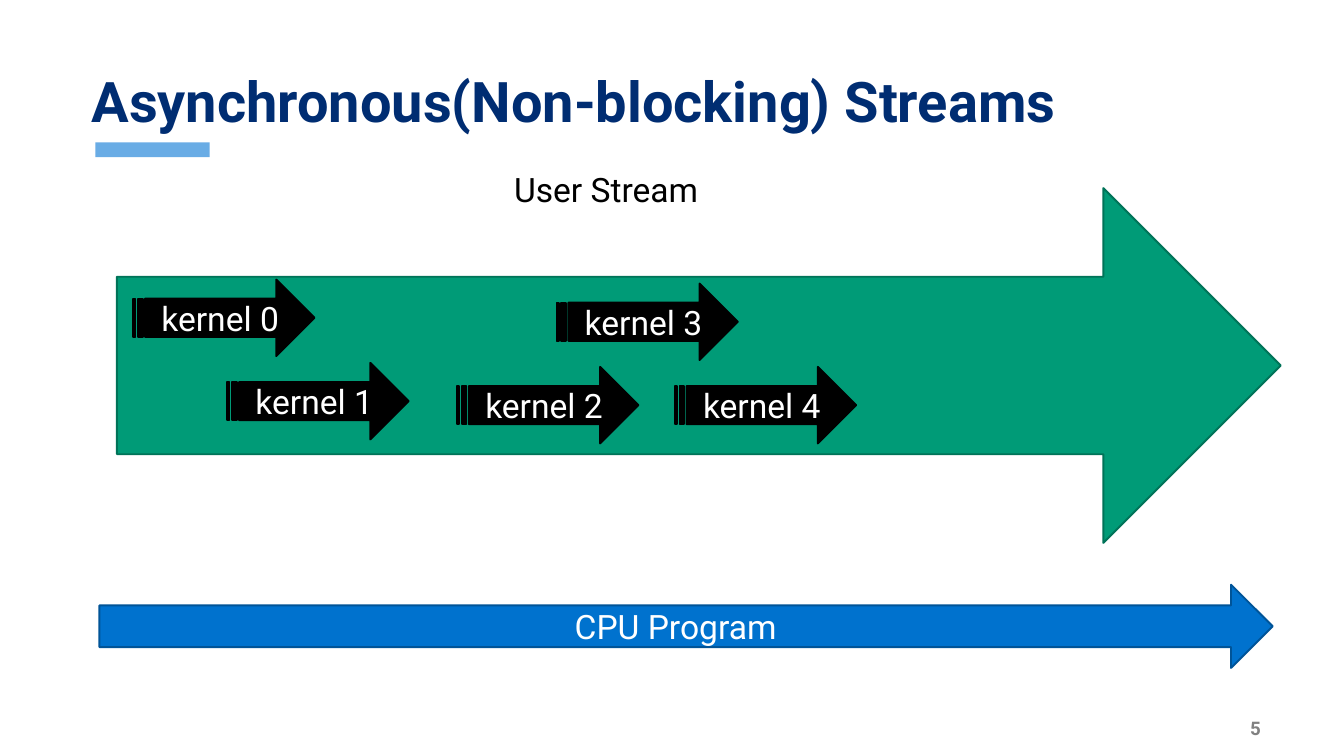
from dataclasses import dataclass
from typing import NamedTuple

from pptx import Presentation
from pptx.dml.color import RGBColor
from pptx.enum import shapes, text
from pptx.util import Inches, Pt


@dataclass(frozen=True)
class Theme:
    font: str = "Roboto"
    navy: str = "002D72"
    accent: str = "69ACE5"
    blue: str = "0072CE"
    blue_edge: str = "005498"
    green: str = "009B77"
    green_edge: str = "007358"
    black: str = "000000"
    white: str = "FFFFFF"
    gray: str = "808080"
    title_size: int = 30
    label_size: int = 18
    number_size: int = 10


class Box(NamedTuple):
    left: float
    top: float
    width: float
    height: float

    def lengths(self):
        return [Inches(side) for side in self]


@dataclass(frozen=True)
class Block:
    kind: shapes.MSO_SHAPE
    box: Box
    fill: str
    edge: str | None = None
    label: str = ""


THEME = Theme()
KERNEL_SIZE = (1.35, 0.57)
KERNEL_STARTS = [(0.99, 2.08), (1.69, 2.7), (3.4, 2.73), (4.14, 2.11), (5.02, 2.73)]


def write(frame, words: str, size: int, color: str, align, anchor, bold: bool = False):
    """Fill a frame with one styled paragraph and return that paragraph."""
    frame.text = words
    frame.word_wrap = True
    frame.vertical_anchor = anchor
    line = frame.paragraphs[0]
    line.alignment = align
    font = line.runs[0].font
    font.name, font.size, font.bold = THEME.font, Pt(size), bold
    font.color.rgb = RGBColor.from_string(color)
    return line


def draw_block(slide, block: Block) -> None:
    shape = slide.shapes.add_shape(block.kind, *block.box.lengths())
    shape.shadow.inherit = False
    shape.fill.solid()
    shape.fill.fore_color.rgb = RGBColor.from_string(block.fill)
    if block.edge:
        shape.line.color.rgb = RGBColor.from_string(block.edge)
        shape.line.width = Pt(1)
    else:
        shape.line.fill.background()
    if block.label:
        write(shape.text_frame, block.label, THEME.label_size, THEME.white,
              text.PP_ALIGN.CENTER, text.MSO_ANCHOR.MIDDLE)


def draw_caption(slide, box: Box, *style, bold: bool = False) -> None:
    caption = slide.shapes.add_textbox(*box.lengths())
    write(caption.text_frame, *style, bold=bold)


def draw_title(slide, box: Box, words: str) -> None:
    title = slide.shapes.title
    title.left, title.top, title.width, title.height = box.lengths()
    line = write(title.text_frame, words, THEME.title_size, THEME.navy,
                 text.PP_ALIGN.LEFT, text.MSO_ANCHOR.MIDDLE, bold=True)
    title.text_frame.auto_size = text.MSO_AUTO_SIZE.NONE
    line.line_spacing = 0.9


def main() -> None:
    deck = Presentation()
    deck.slide_width = Inches(10)
    deck.slide_height = Inches(10 * 9 / 16)
    slide = deck.slides.add_slide(deck.slide_layouts[5])
    arrows = shapes.MSO_SHAPE

    draw_block(slide, Block(arrows.RECTANGLE, Box(0.71, 1.06, 0.85, 0.11), THEME.accent))
    draw_caption(slide, Box(8.61, 5.32, 0.87, 0.19), "5", THEME.number_size, THEME.gray,
                 text.PP_ALIGN.RIGHT, text.MSO_ANCHOR.MIDDLE, bold=True)
    draw_title(slide, Box(0.58, 0.5, 8.84, 0.56), "Asynchronous(Non-blocking) Streams")

    draw_block(slide, Block(arrows.RIGHT_ARROW, Box(0.74, 4.35, 8.73, 0.62),
                            THEME.blue, THEME.blue_edge, "CPU Program"))
    draw_block(slide, Block(arrows.RIGHT_ARROW, Box(0.87, 1.4, 8.66, 2.64),
                            THEME.green, THEME.green_edge))
    draw_caption(slide, Box(3.57, 1.21, 1.88, 0.4), "User Stream", THEME.label_size,
                 THEME.black, text.PP_ALIGN.CENTER, text.MSO_ANCHOR.TOP)
    for number, start in enumerate(KERNEL_STARTS):
        draw_block(slide, Block(arrows.STRIPED_RIGHT_ARROW, Box(*start, *KERNEL_SIZE),
                                THEME.black, THEME.black, f"kernel {number}"))

    deck.save("out.pptx")


if __name__ == "__main__":
    main()
